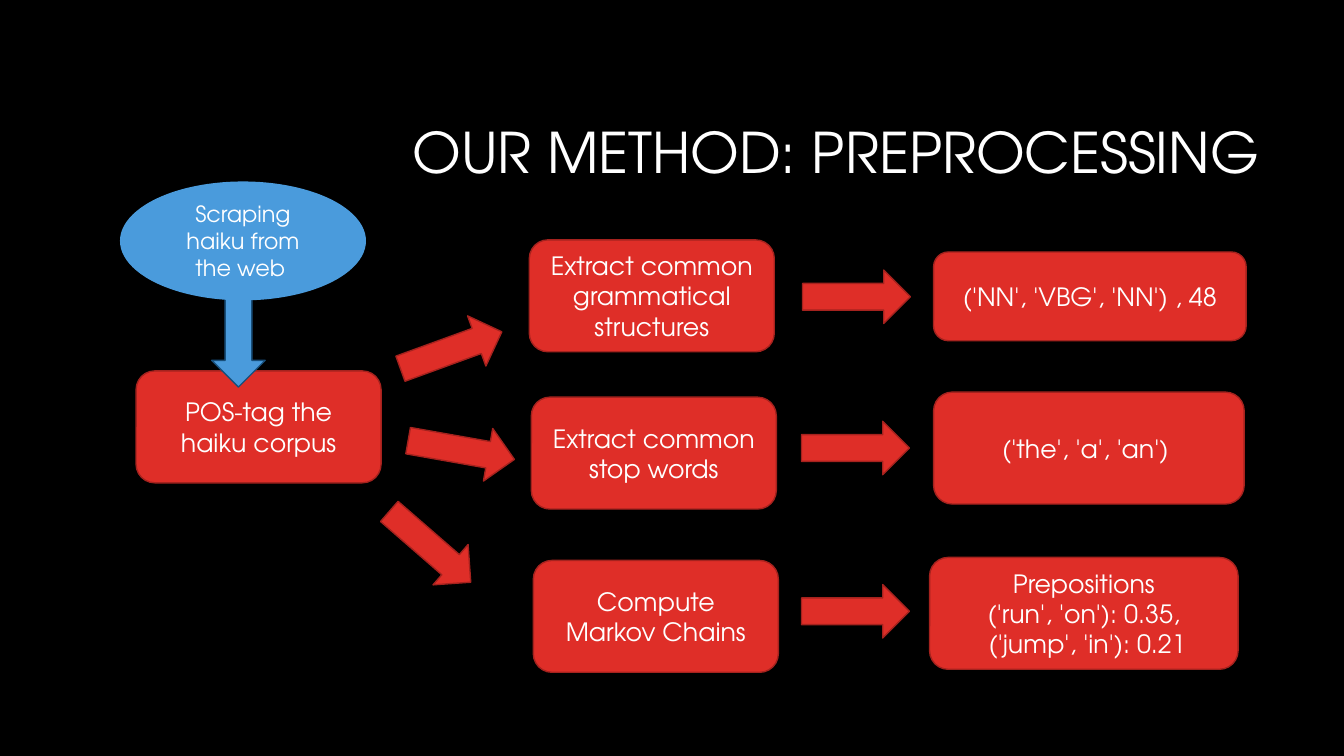
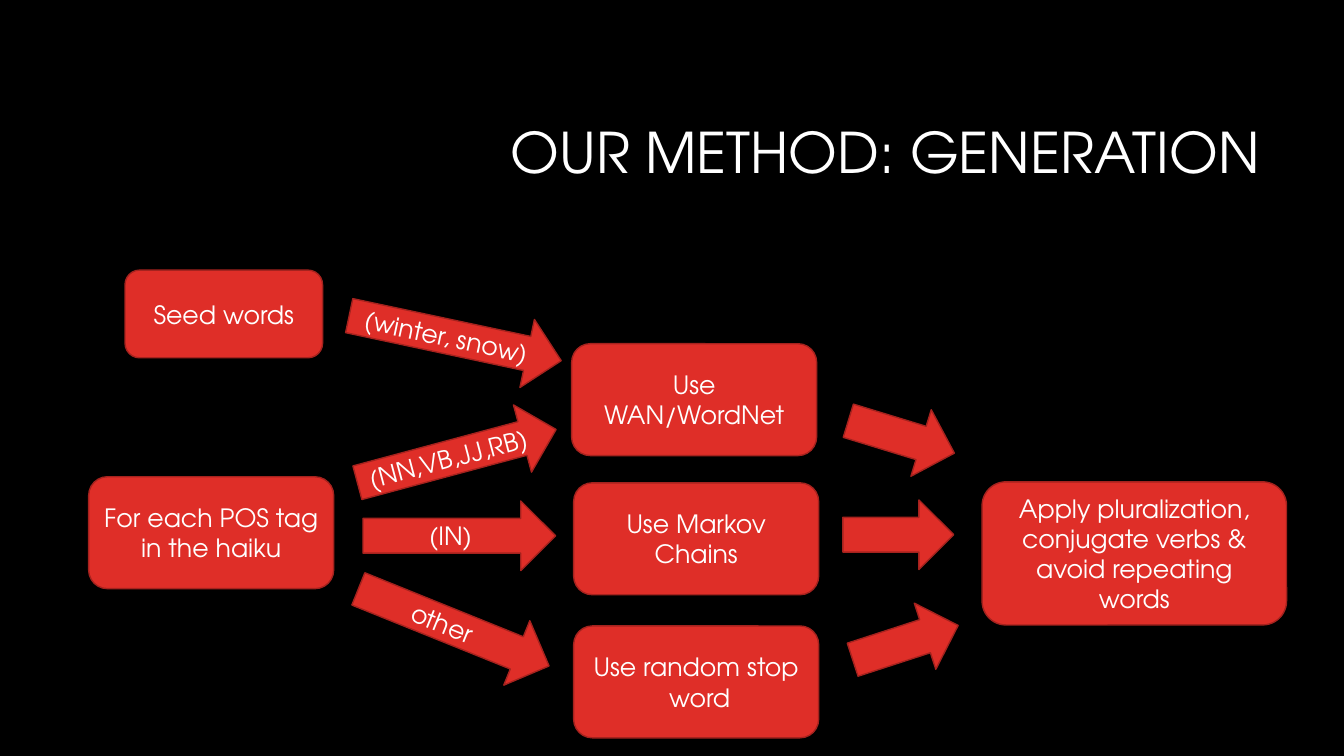
from pptx import Presentation
from pptx.dml.color import RGBColor
from pptx.enum.shapes import MSO_SHAPE
from pptx.enum.text import MSO_ANCHOR, PP_ALIGN
from pptx.util import Inches, Pt

COLOURS = {
    "background": "000000",
    "text": "FFFFFF",
    "red": "DF2E28",
    "red_line": "A5221E",
    "blue": "4A9BDC",
    "blue_line": "184F7B",
}
FONT = "TeX Gyre Adventor"
STEP_SIZE = (2.43, 1.11)
SMALL_ARROW = (1.07, 0.53)
ARROW_HEIGHT = 0.69


def colour(name):
    return RGBColor.from_string(COLOURS[name])


class FlowDeck:
    """Hold the deck style and the current page, and draw flow chart elements."""

    def __init__(self):
        self.deck = Presentation()
        self.deck.slide_width = Inches(13.33)
        self.deck.slide_height = Inches(7.5)
        self.page = None

    def add_page(self, title):
        self.page = self.deck.slides.add_slide(self.deck.slide_layouts[6])
        fill = self.page.background.fill
        fill.solid()
        fill.fore_color.rgb = colour("background")
        box = self.page.shapes.add_textbox(Inches(3.17), Inches(0.84), Inches(9.42), Inches(1.41))
        self.add_text(box, [[(title, 40)]], PP_ALIGN.RIGHT, 0.9)

    def add_text(self, box, paragraphs, align=PP_ALIGN.CENTER, spacing=None):
        frame = box.text_frame
        frame.word_wrap = True
        frame.vertical_anchor = MSO_ANCHOR.MIDDLE
        for index, spans in enumerate(paragraphs):
            para = frame.add_paragraph() if index else frame.paragraphs[0]
            para.alignment = align
            para.line_spacing = spacing
            for text, size in spans:
                for row, line in enumerate(text.split("\n")):
                    if row:
                        para.add_line_break()
                    span = para.add_run()
                    span.text = line
                    span.font.name = FONT
                    span.font.size = Pt(size)
                    span.font.color.rgb = colour("text")

    def add_block(self, kind, place, size, paragraphs=(), fill="red", line="red_line"):
        block = self.page.shapes.add_shape(kind, *map(Inches, (*place, *size)))
        block.shadow.inherit = False
        block.fill.solid()
        block.fill.fore_color.rgb = colour(fill)
        if line:
            block.line.color.rgb = colour(line)
            block.line.width = Pt(1)
        else:
            block.line.fill.background()
        self.add_text(block, paragraphs)
        return block

    def add_step(self, place, *texts, size=STEP_SIZE):
        paragraphs = [[(text, 18)] for text in texts]
        self.add_block(MSO_SHAPE.ROUNDED_RECTANGLE, place, size, paragraphs)

    def add_arrow(self, place, size, turn=0, label="", hue="red"):
        paragraphs = [[(label, 18)]] if label else []
        arrow = self.add_block(MSO_SHAPE.RIGHT_ARROW, place, size, paragraphs, hue, f"{hue}_line")
        arrow.rotation = turn

    def add_source(self, place, size, spans):
        self.add_block(MSO_SHAPE.OVAL, place, size, [spans], "blue", None)


def build_preprocessing(deck):
    deck.add_page("OUR METHOD: PREPROCESSING")
    deck.add_step((1.35, 3.68), "POS-tag the haiku corpus")
    for place, text in (
        ((5.25, 2.38), "Extract common grammatical structures"),
        ((5.27, 3.94), "Extract common stop words"),
        ((5.29, 5.56), "Compute Markov Chains"),
    ):
        deck.add_step(place, text)
    for place, size, texts in (
        ((9.26, 2.5), (3.1, 0.88), ["('NN', 'VBG', 'NN') , 48"]),
        ((9.26, 3.89), (3.08, 1.11), ["('the', 'a', 'an') "]),
        ((9.22, 5.53), (3.06, 1.11), ["Prepositions", "('run', 'on'): 0.35,\n ('jump', 'in'): 0.21"]),
    ):
        deck.add_step(place, *texts, size=size)
    for place, turn in (
        ((3.94, 3.21), 340),
        ((4.04, 4.2), 10),
        ((3.73, 5.16), 41),
        ((7.96, 2.68), 0),
        ((7.95, 4.18), 0),
        ((7.95, 5.8), 0),
    ):
        deck.add_arrow(place, SMALL_ARROW, turn)
    deck.add_arrow((1.83, 3.04), SMALL_ARROW, 90, hue="blue")
    deck.add_source((1.19, 1.8), (2.44, 1.18), [("Scraping haiku from the web", 16), (" ", 14)])


def build_generation(deck):
    deck.add_page("OUR METHOD: GENERATION")
    deck.add_step((1.24, 2.68), "Seed words", size=(1.96, 0.87))
    deck.add_step((9.74, 4.78), "Apply pluralization, conjugate verbs & avoid repeating words", size=(3.02, 1.42))
    for place, text in (
        ((0.88, 4.73), "For each POS tag in the haiku"),
        ((5.67, 3.41), "Use WAN/WordNet"),
        ((5.69, 4.79), "Use Markov Chains"),
        ((5.69, 6.21), "Use random stop\n word"),
    ):
        deck.add_step(place, text)
    for place, width, turn, label in (
        ((3.44, 3.01), 2.15, 12, "(winter, snow)"),
        ((3.51, 4.18), 2.04, 345, "(NN,VB,JJ,RB)"),
        ((3.6, 4.97), 1.91, 0, "(IN)"),
        ((3.48, 5.88), 2.04, 22, "other "),
        ((8.39, 3.99), 1.1, 17, ""),
        ((8.36, 4.96), 1.1, 0, ""),
        ((8.43, 6.03), 1.1, 342, ""),
    ):
        deck.add_arrow(place, (width, ARROW_HEIGHT), turn, label)


def main():
    flow = FlowDeck()
    build_preprocessing(flow)
    build_generation(flow)
    flow.deck.save("out.pptx")


if __name__ == "__main__":
    main()
